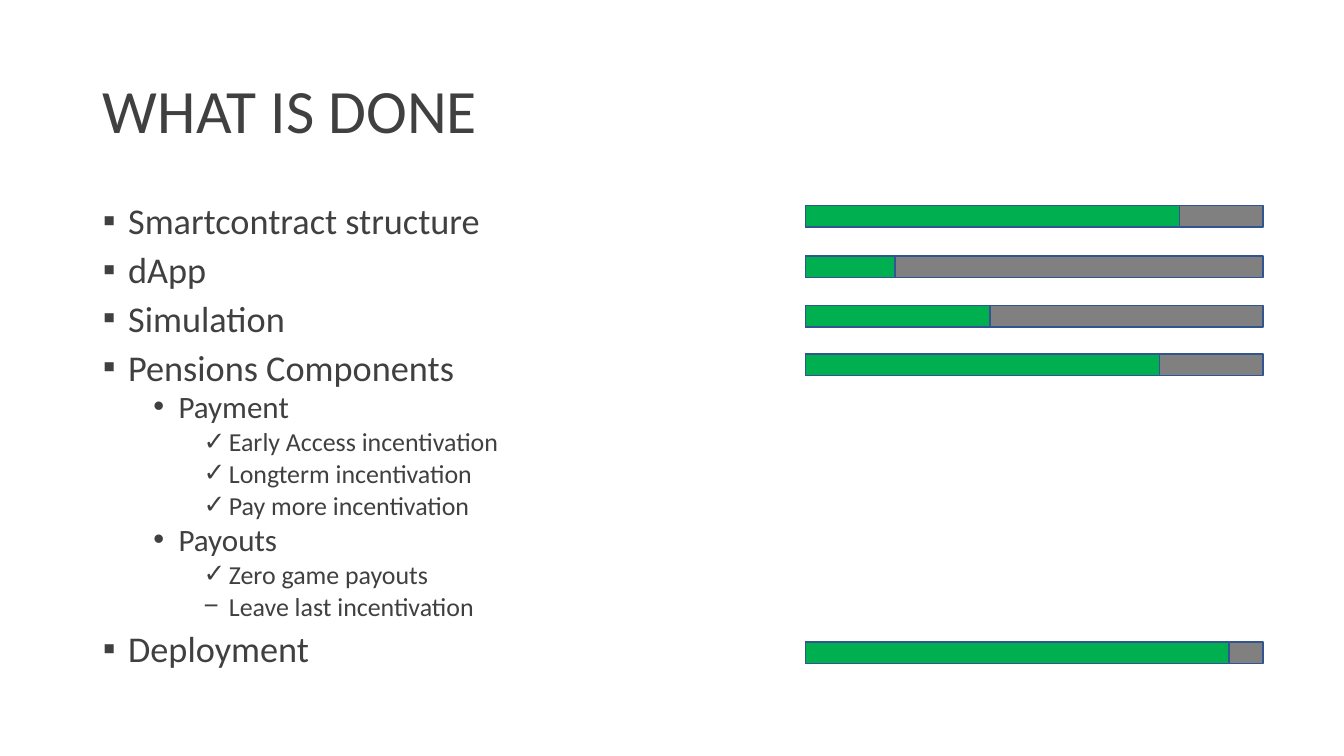
import lxml.etree
import pptx
import pptx.dml.color
import pptx.enum.shapes
import pptx.enum.text
import pptx.oxml.ns
import pptx.util

Cm = pptx.util.Cm
Pt = pptx.util.Pt
RGBColor = pptx.dml.color.RGBColor

TEXT_GREY = RGBColor(0x40, 0x40, 0x40)
TRACK_GREY = RGBColor(0x80, 0x80, 0x80)
DONE_GREEN = RGBColor(0x00, 0xB0, 0x50)
EDGE_BLUE = RGBColor(0x32, 0x54, 0x91)
FONT = "Calibri"

# Size in points and space before in points, by list level
LEVELS = [(25.9, 10), (22.2, 5), (18.5, 5)]
INDENT = 1.27
HANGING = 0.635

TASKS = [
    (0, "▪", "Smartcontract structure"),
    (0, "▪", "dApp"),
    (0, "▪", "Simulation"),
    (0, "▪", "Pensions Components"),
    (1, "•", "Payment"),
    (2, "✓", "Early Access incentivation"),
    (2, "✓", "Longterm incentivation"),
    (2, "✓", "Pay more incentivation"),
    (1, "•", "Payouts"),
    (2, "✓", "Zero game payouts"),
    (2, "−", "Leave last incentivation"),
    (0, "▪", "Deployment"),
]

BAR_LEFT, BAR_WIDTH, BAR_HEIGHT = 20.3, 11.53, 0.54
# Top and finished length of each bar, in centimetres
PROGRESS = [(5.18, 9.42), (6.45, 2.26), (7.7, 4.65), (8.92, 8.92), (16.18, 10.67)]


def place(shape, left, top, width, height):
    shape.left, shape.top = Cm(left), Cm(top)
    shape.width, shape.height = Cm(width), Cm(height)


def write(para, text, *, size, line_spacing, space_before=0):
    para.alignment = pptx.enum.text.PP_ALIGN.LEFT
    para.line_spacing = line_spacing
    para.space_before = Pt(space_before)
    span = para.add_run()
    span.text = text
    span.font.name = FONT
    span.font.size = Pt(size)
    span.font.color.rgb = TEXT_GREY


def set_bullet(para, mark, level):
    """Give the paragraph a hanging bullet at the indent of its level."""
    properties = para._p.get_or_add_pPr()
    properties.set("marL", str(Cm(HANGING + level * INDENT)))
    properties.set("indent", str(-Cm(HANGING)))
    for tag, key, value in (("a:buFont", "typeface", "Arial"), ("a:buChar", "char", mark)):
        element = lxml.etree.SubElement(properties, pptx.oxml.ns.qn(tag))
        element.set(key, value)


def fill_title(title, text):
    place(title, 2.34, 1.02, 29.21, 3.68)
    frame = title.text_frame
    frame.auto_size = pptx.enum.text.MSO_AUTO_SIZE.NONE
    frame.vertical_anchor = pptx.enum.text.MSO_ANCHOR.MIDDLE
    write(frame.paragraphs[0], text, size=44, line_spacing=0.9)


def fill_list(body, tasks):
    place(body, 2.34, 5.08, 29.92, 12.09)
    frame = body.text_frame
    frame.auto_size = pptx.enum.text.MSO_AUTO_SIZE.NONE
    frame.vertical_anchor = pptx.enum.text.MSO_ANCHOR.TOP
    for index, (level, mark, text) in enumerate(tasks):
        para = frame.add_paragraph() if index else frame.paragraphs[0]
        para.level = level
        size, space_before = LEVELS[level]
        write(para, text, size=size, line_spacing=0.8, space_before=space_before)
        set_bullet(para, mark, level)


def add_bar(page, top, width, color):
    bar = page.shapes.add_shape(
        pptx.enum.shapes.MSO_SHAPE.RECTANGLE,
        Cm(BAR_LEFT), Cm(top), Cm(width), Cm(BAR_HEIGHT))
    bar.shadow.inherit = False
    bar.fill.solid()
    bar.fill.fore_color.rgb = color
    bar.line.color.rgb = EDGE_BLUE
    bar.line.width = Pt(1)


def add_progress(page, top, done):
    add_bar(page, top, BAR_WIDTH, TRACK_GREY)
    add_bar(page, top, done, DONE_GREEN)


def main():
    deck = pptx.Presentation()
    deck.slide_width, deck.slide_height = Cm(33.87), Cm(19.05)
    page = deck.slides.add_slide(deck.slide_layouts[1])
    fill_title(page.shapes.title, "WHAT IS DONE")
    fill_list(page.placeholders[1], TASKS)
    for top, done in PROGRESS:
        add_progress(page, top, done)
    deck.save("out.pptx")


if __name__ == "__main__":
    main()
